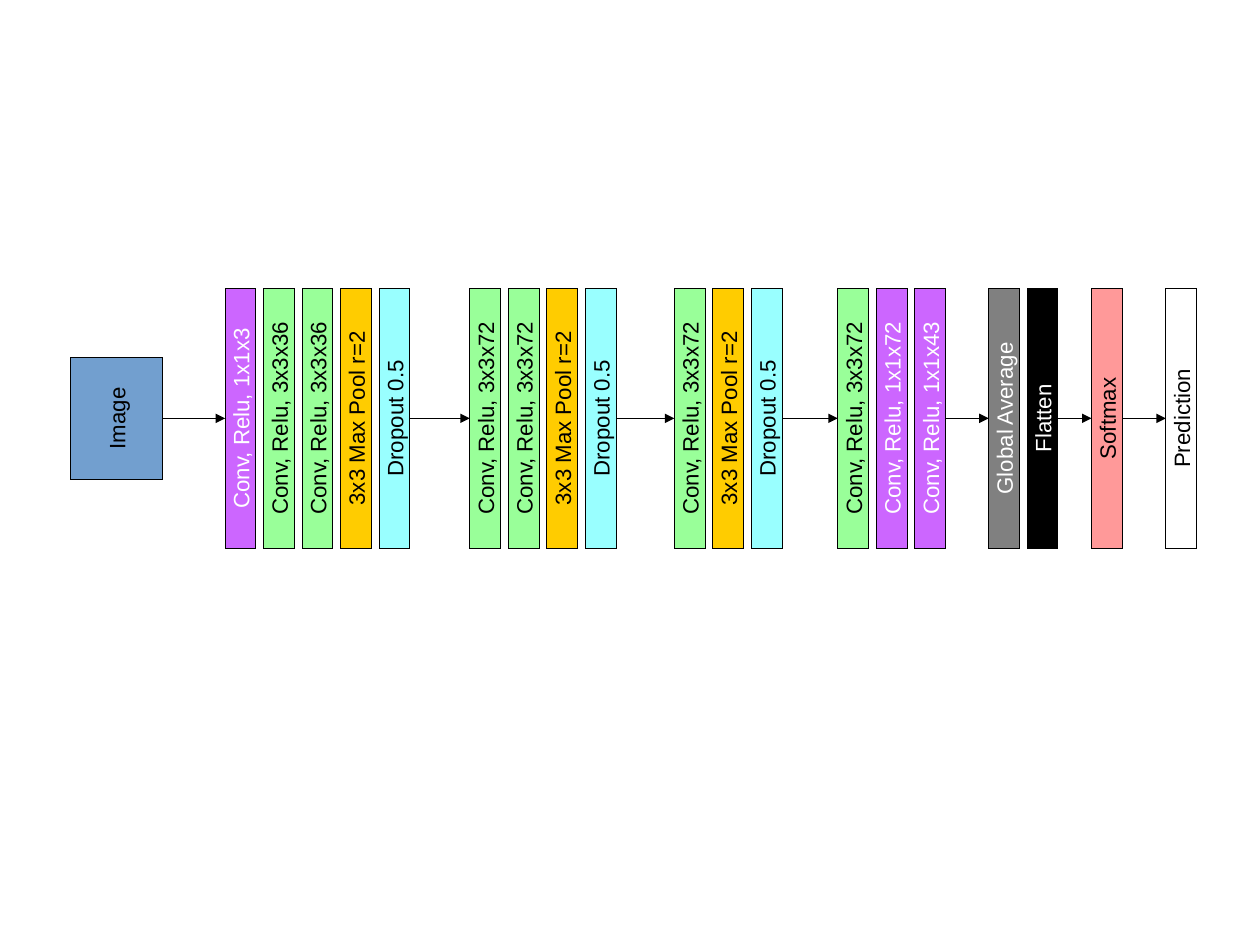
from itertools import pairwise
from lxml.etree import SubElement
from pptx import Presentation
from pptx.dml.color import RGBColor
from pptx.enum.shapes import MSO_CONNECTOR, MSO_SHAPE
from pptx.enum.text import MSO_ANCHOR, PP_ALIGN
from pptx.oxml.ns import qn
from pptx.util import Inches, Pt

THEME = {
    "line": "000000",
    "font": {"name": "Arial", "size": Pt(14)},
    "frame": {"word_wrap": False, "vertical_anchor": MSO_ANCHOR.MIDDLE},
    "image": ("729FCF", "000000"),
    "conv1": ("CC66FF", "FFFFFF"),
    "conv3": ("99FF99", "000000"),
    "pool": ("FFCC00", "000000"),
    "dropout": ("99FFFF", "000000"),
    "average": ("808080", "FFFFFF"),
    "flatten": ("000000", "FFFFFF"),
    "softmax": ("FF9999", "000000"),
    "prediction": ("FFFFFF", "000000"),
}

CM_PER_INCH = 2.54
CENTER_Y = 3.66
PITCH = 1.01 / 3
IMAGE_SIZE = (1.07, 0.8)
LAYER_SIZE = (2.27, 0.27)

POOL = ("3x3 Max Pool r=2", "pool")
DROPOUT = ("Dropout 0.5", "dropout")
CONV_36 = ("Conv, Relu, 3x3x36", "conv3")
CONV_72 = ("Conv, Relu, 3x3x72", "conv3")

STAGES = [
    (0.62, IMAGE_SIZE, [("Image", "image")]),
    (1.97, LAYER_SIZE, [("Conv, Relu, 1x1x3", "conv1"), CONV_36, CONV_36, POOL, DROPOUT]),
    (4.11, LAYER_SIZE, [CONV_72, CONV_72, POOL, DROPOUT]),
    (5.9, LAYER_SIZE, [CONV_72, POOL, DROPOUT]),
    (7.33, LAYER_SIZE, [CONV_72, ("Conv, Relu, 1x1x72", "conv1"), ("Conv, Relu, 1x1x43", "conv1")]),
    (8.65, LAYER_SIZE, [("Global Average", "average"), ("Flatten", "flatten")]),
    (9.55, LAYER_SIZE, [("Softmax", "softmax")]),
    (10.2, LAYER_SIZE, [("Prediction", "prediction")]),
]


def add_layer(s, left, size, text, kind):
    length, thickness = size
    fill, color = THEME[kind]
    sp = s.shapes.add_shape(
        MSO_SHAPE.RECTANGLE,
        Inches(left + thickness / 2 - length / 2),
        Inches(CENTER_Y - thickness / 2),
        Inches(length),
        Inches(thickness),
    )
    sp.rotation = 270
    sp.shadow.inherit = False
    sp.fill.solid()
    sp.fill.fore_color.rgb = RGBColor.from_string(fill)
    sp.line.color.rgb = RGBColor.from_string(THEME["line"])
    sp.get_or_add_ln().set("w", "0")
    tf = sp.text_frame
    for name, value in THEME["frame"].items():
        setattr(tf, name, value)
    p = tf.paragraphs[0]
    p.alignment = PP_ALIGN.CENTER
    r = p.add_run()
    r.text = text
    for name, value in THEME["font"].items():
        setattr(r.font, name, value)
    r.font.color.rgb = RGBColor.from_string(color)
    return sp


def add_arrow(s, source, target):
    cxn = s.shapes.add_connector(MSO_CONNECTOR.STRAIGHT, 0, 0, 0, 0)
    cxn.begin_connect(source, 2)
    cxn.end_connect(target, 0)
    ends = {
        "begin_x": source.left + (source.width + source.height) // 2,
        "begin_y": Inches(CENTER_Y),
        "end_x": target.left + (target.width - target.height) // 2,
        "end_y": Inches(CENTER_Y),
    }
    for name, value in ends.items():
        setattr(cxn, name, value)
    cxn.line.color.rgb = RGBColor.from_string(THEME["line"])
    ln = cxn.get_or_add_ln()
    ln.set("w", "0")
    SubElement(ln, qn("a:tailEnd"), type="triangle")
    SubElement(cxn.element.spPr, qn("a:effectLst"))


prs = Presentation()
prs.slide_width = Inches(28 / CM_PER_INCH)
prs.slide_height = Inches(21 / CM_PER_INCH)
s = prs.slides.add_slide(prs.slide_layouts[6])

stages = []
for left, size, layers in STAGES:
    stages.append([
        add_layer(s, left + i * PITCH, size, text, kind)
        for i, (text, kind) in enumerate(layers)
    ])

for before, after in pairwise(stages):
    add_arrow(s, before[-1], after[0])

prs.save("out.pptx")
